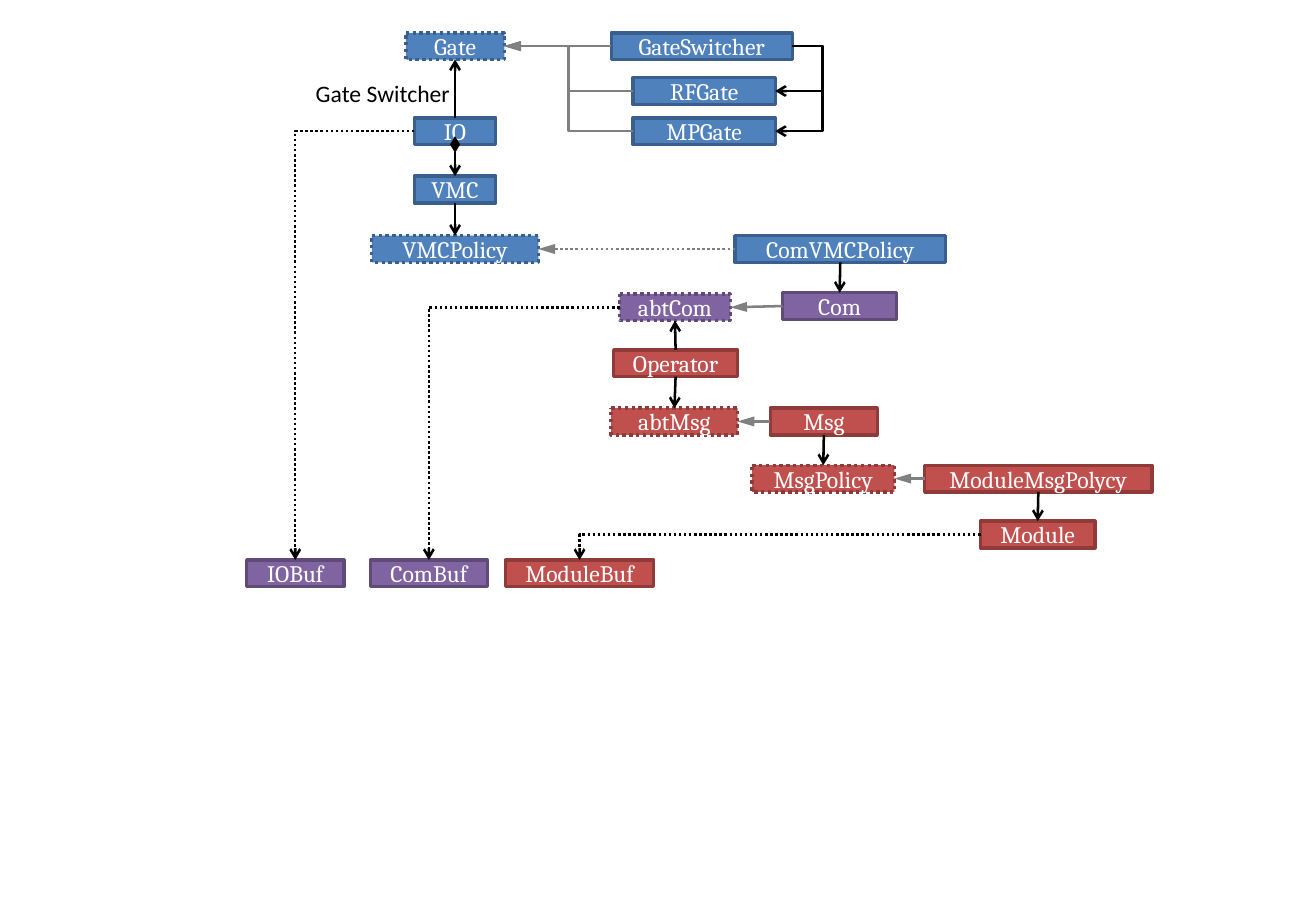
from pptx import Presentation
from pptx.dml.color import RGBColor
from pptx.enum.dml import MSO_LINE
from pptx.enum.shapes import MSO_CONNECTOR, MSO_SHAPE
from pptx.enum.text import MSO_ANCHOR, PP_ALIGN
from pptx.oxml.ns import qn
from pptx.util import Inches, Pt
from lxml.etree import SubElement

COLORS = {
    "blue": "4F81BD", "blue_edge": "3A5F8C",
    "purple": "8064A2", "purple_edge": "5F4A78",
    "red": "C0504D", "red_edge": "8E3B39",
    "white": "FFFFFF", "black": "000000", "gray": "808080",
}
BOX_HEIGHT = 0.22
TOP, LEFT, BOTTOM, RIGHT = range(4)  # connection sites of a box
HEAD_LENGTHS = {"triangle": "lg", "diamond": "lg", "arrow": "med"}


def color(name):
    return RGBColor.from_string(COLORS[name])


def connect(start, start_site, end, end_site, line_color, tail,
            head=None, dotted=False, preset="line", bend=None):
    kind = MSO_CONNECTOR.STRAIGHT if preset == "line" else MSO_CONNECTOR.ELBOW
    connector = slide.shapes.add_connector(kind, 0, 0, 0, 0)
    connector.begin_connect(boxes[start], start_site)
    connector.end_connect(boxes[end], end_site)
    connector.line.color.rgb = color(line_color)
    connector.line.width = Pt(1.5)
    if dotted:
        connector.line.dash_style = MSO_LINE.ROUND_DOT
    line = connector.line._get_or_add_ln()
    for tag, style in [("a:headEnd", head), ("a:tailEnd", tail)]:
        if style:
            SubElement(line, qn(tag), type=style, len=HEAD_LENGTHS[style])
    properties = connector._element.spPr
    SubElement(properties, qn("a:effectLst"))
    geometry = properties.find(qn("a:prstGeom"))
    geometry.set("prst", preset)
    if bend is not None:
        guides = geometry.find(qn("a:avLst"))
        SubElement(guides, qn("a:gd"), name="adj1", fmla=f"val {bend}")


presentation = Presentation()
presentation.slide_width = Inches(10.83)
presentation.slide_height = Inches(7.5)
slide = presentation.slides.add_slide(presentation.slide_layouts[6])

# Class boxes: name, left, top, width, palette, abstract (dotted outline)
classes = [
    ("Gate", 3.34, 0.27, 0.81, "blue", True),
    ("GateSwitcher", 5.03, 0.27, 1.49, "blue", False),
    ("RFGate", 5.21, 0.64, 1.17, "blue", False),
    ("MPGate", 5.21, 0.97, 1.17, "blue", False),
    ("IO", 3.41, 0.97, 0.67, "blue", False),
    ("VMC", 3.41, 1.45, 0.67, "blue", False),
    ("VMCPolicy", 3.06, 1.94, 1.37, "blue", True),
    ("ComVMCPolicy", 6.05, 1.94, 1.73, "blue", False),
    ("abtCom", 5.1, 2.42, 0.91, "purple", True),
    ("Com", 6.44, 2.41, 0.94, "purple", False),
    ("Operator", 5.05, 2.88, 1.02, "red", False),
    ("abtMsg", 5.03, 3.36, 1.04, "red", True),
    ("Msg", 6.34, 3.36, 0.88, "red", False),
    ("MsgPolicy", 6.19, 3.83, 1.17, "red", True),
    ("ModuleMsgPolycy", 7.61, 3.83, 1.87, "red", False),
    ("Module", 8.07, 4.29, 0.94, "red", False),
    ("IOBuf", 2.03, 4.61, 0.8, "purple", False),
    ("ComBuf", 3.05, 4.61, 0.96, "purple", False),
    ("ModuleBuf", 4.16, 4.61, 1.22, "red", False),
]
boxes = {}
for name, left, top, width, palette, abstract in classes:
    shape = slide.shapes.add_shape(
        MSO_SHAPE.ROUNDED_RECTANGLE,
        Inches(left), Inches(top), Inches(width), Inches(BOX_HEIGHT))
    shape.adjustments[0] = 0
    shape.shadow.inherit = False
    shape.fill.solid()
    shape.fill.fore_color.rgb = color(palette)
    shape.line.color.rgb = color(palette + "_edge")
    shape.line.width = Pt(2)
    if abstract:
        shape.line.dash_style = MSO_LINE.ROUND_DOT
    shape.text_frame.text = name
    shape.text_frame.vertical_anchor = MSO_ANCHOR.MIDDLE
    paragraph = shape.text_frame.paragraphs[0]
    paragraph.alignment = PP_ALIGN.CENTER
    font = paragraph.runs[0].font
    font.name, font.size = "Cambria", Pt(14)
    font.color.rgb = color("white")
    boxes[name] = shape

# Inheritance
for child, parent in [("GateSwitcher", "Gate"), ("Com", "abtCom"),
                      ("Msg", "abtMsg"), ("ModuleMsgPolycy", "MsgPolicy")]:
    connect(child, LEFT, parent, RIGHT, "gray", "triangle")
connect("ComVMCPolicy", LEFT, "VMCPolicy", RIGHT, "gray", "triangle", dotted=True)
for gate in ("RFGate", "MPGate"):
    connect(gate, LEFT, "Gate", RIGHT, "gray", "triangle",
            preset="bentConnector3", bend=50000)
    # The switcher uses each gate
    connect("GateSwitcher", RIGHT, gate, RIGHT, "black", "arrow",
            preset="bentConnector3", bend=-178700)

# References going down and up
for owner, target in [("VMC", "VMCPolicy"), ("ComVMCPolicy", "Com"),
                      ("Operator", "abtMsg"), ("Msg", "MsgPolicy"),
                      ("ModuleMsgPolycy", "Module")]:
    connect(owner, BOTTOM, target, TOP, "black", "arrow")
connect("IO", BOTTOM, "VMC", TOP, "black", "arrow", head="diamond")
for owner, target in [("IO", "Gate"), ("Operator", "abtCom")]:
    connect(owner, TOP, target, BOTTOM, "black", "arrow")

# Buffers
for owner, buffer in [("IO", "IOBuf"), ("abtCom", "ComBuf"),
                      ("Module", "ModuleBuf")]:
    connect(owner, LEFT, buffer, TOP, "black", "arrow",
            dotted=True, preset="bentConnector2")

# Label on the link from IO to Gate
label = slide.shapes.add_textbox(Inches(2.5), Inches(0.6), Inches(1.32), Inches(0.34))
label.text_frame.word_wrap = False
label.text_frame.text = "Gate Switcher"
font = label.text_frame.paragraphs[0].runs[0].font
font.name, font.size = "Calibri", Pt(14)
font.color.rgb = color("black")

presentation.save("out.pptx")
